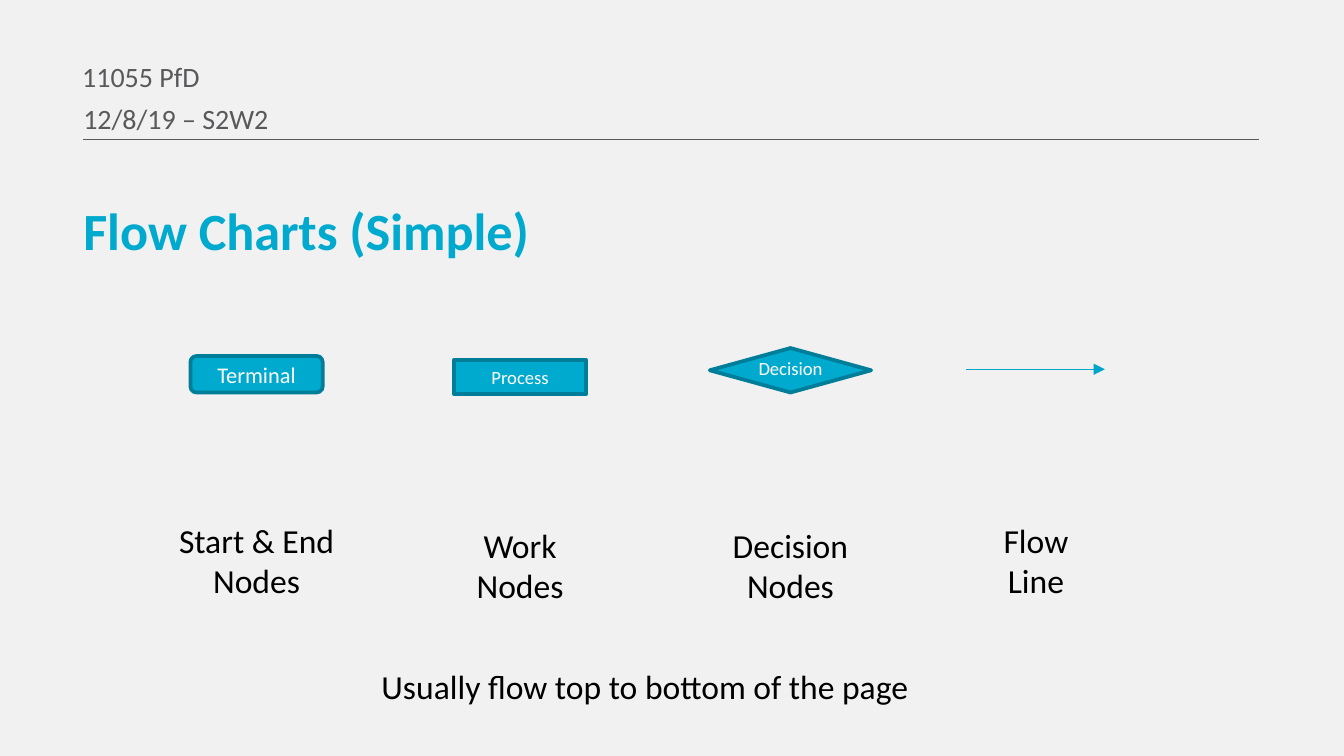
import pptx
import pptx.dml.color
import pptx.enum.shapes
import pptx.enum.text
import pptx.oxml.ns
import pptx.util
from lxml import etree

Cm = pptx.util.Cm
Pt = pptx.util.Pt
RGBColor = pptx.dml.color.RGBColor
Shape = pptx.enum.shapes.MSO_SHAPE
Anchor = pptx.enum.text.MSO_ANCHOR
Align = pptx.enum.text.PP_ALIGN
AutoSize = pptx.enum.text.MSO_AUTO_SIZE
qn = pptx.oxml.ns.qn

BACKGROUND = RGBColor(0xF1, 0xF1, 0xF1)
GREY = RGBColor(0x58, 0x59, 0x5B)
CYAN = RGBColor(0x00, 0xA9, 0xCE)
ARROW_CYAN = RGBColor(0x00, 0xA5, 0xC9)
DARK_CYAN = RGBColor(0x00, 0x7D, 0x98)
WHITE = RGBColor(0xFF, 0xFF, 0xFF)
BLACK = RGBColor(0x00, 0x00, 0x00)


class SlideBuilder:
    font_name = "Calibri"

    def __init__(self, slide):
        self.slide = slide
        slide.background.fill.solid()
        slide.background.fill.fore_color.rgb = BACKGROUND

    def set_text(self, shape, text, size, color, align=Align.LEFT, bold=False):
        shape.text_frame.text = text
        for paragraph in shape.text_frame.paragraphs:
            paragraph.alignment = align
            font = paragraph.font
            font.name = self.font_name
            font.size = Pt(size)
            font.bold = bold
            font.color.rgb = color

    def heading(self, index, text, left, top, width, height, size, color, bold=False, spacing=1):
        """Fill a template placeholder with one line without a bullet."""
        shape = self.slide.placeholders[index]
        shape.left, shape.top = Cm(left), Cm(top)
        shape.width, shape.height = Cm(width), Cm(height)
        self.set_text(shape, text, size, color, bold=bold)
        frame = shape.text_frame
        frame.auto_size = AutoSize.NONE
        frame.vertical_anchor = Anchor.TOP
        paragraph = frame.paragraphs[0]
        paragraph.line_spacing = spacing
        paragraph.space_before = Pt(0)
        properties = paragraph._p.get_or_add_pPr()
        properties.set("marL", "0")
        properties.set("indent", "0")
        bullet = etree.Element(qn("a:buNone"))
        properties.insert_element_before(bullet, "a:tabLst", "a:defRPr", "a:extLst")

    def line(self, start, end, y, color, arrow=False):
        connector = self.slide.shapes.add_connector(
            pptx.enum.shapes.MSO_CONNECTOR.STRAIGHT, Cm(start), Cm(y), Cm(end), Cm(y))
        connector.line.color.rgb = color
        connector.line.width = Pt(0.75)
        if arrow:
            etree.SubElement(connector.line._get_or_add_ln(), qn("a:tailEnd"), type="triangle")
        etree.SubElement(connector._element.spPr, qn("a:effectLst"))

    def node(self, kind, center, top, width, height, text="", size=10):
        shape = self.slide.shapes.add_shape(
            kind, Cm(center - width / 2), Cm(top), Cm(width), Cm(height))
        shape.shadow.inherit = False
        shape.fill.solid()
        shape.fill.fore_color.rgb = CYAN
        shape.line.color.rgb = DARK_CYAN
        shape.line.width = Pt(2)
        if text:
            self.set_text(shape, text, size, WHITE, Align.CENTER)
            shape.text_frame.vertical_anchor = Anchor.MIDDLE

    def label(self, text, left, top, width, height, size=18, color=BLACK,
              align=Align.CENTER, wrap=True):
        box = self.slide.shapes.add_textbox(Cm(left), Cm(top), Cm(width), Cm(height))
        box.text_frame.word_wrap = wrap
        self.set_text(box, text, size, color, align)

    def caption(self, text, center, top, width=2.84):
        self.label(text, center - width / 2, top, width, 1.8)


def main():
    presentation = pptx.Presentation()
    presentation.slide_width = Cm(25.4)
    presentation.slide_height = Cm(14.29)
    two_content = presentation.slide_layouts[3]
    builder = SlideBuilder(presentation.slides.add_slide(two_content))

    builder.line(1.57, 23.8, 2.64, GREY)
    builder.heading(0, "Flow Charts (Simple)", 1.32, 3.94, 22.5, 1.07, 28, CYAN,
                    bold=True, spacing=0.7)
    builder.heading(1, "11055 PfD", 1.3, 0.99, 17.73, 0.64, 15, GREY)
    builder.heading(2, "12/8/19 – S2W2", 1.32, 1.8, 17.7, 0.58, 15, GREY)

    terminal, process, decision, flow = 4.85, 9.83, 14.94, 19.58
    builder.line(18.26, 20.88, 6.98, ARROW_CYAN, arrow=True)
    builder.node(Shape.ROUNDED_RECTANGLE, terminal, 6.73, 2.5, 0.69, "Terminal", 12)
    builder.node(Shape.RECTANGLE, process, 6.81, 2.5, 0.64, "Process")
    builder.node(Shape.DIAMOND, decision, 6.58, 3.05, 0.84)
    builder.label("Decision", decision - 0.86, 6.63, 1.72, 0.68, 10, WHITE, wrap=False)

    builder.caption("Start & End\nNodes", terminal, 9.7, 3.63)
    builder.caption("Work\nNodes", process, 9.8)
    builder.caption("Decision\nNodes", decision, 9.8)
    builder.caption("Flow\nLine", flow, 9.7)
    builder.label("Usually flow top to bottom of the page", 6.96, 12.47, 15.54, 1.02,
                  align=Align.LEFT)

    presentation.save("out.pptx")


if __name__ == "__main__":
    main()
